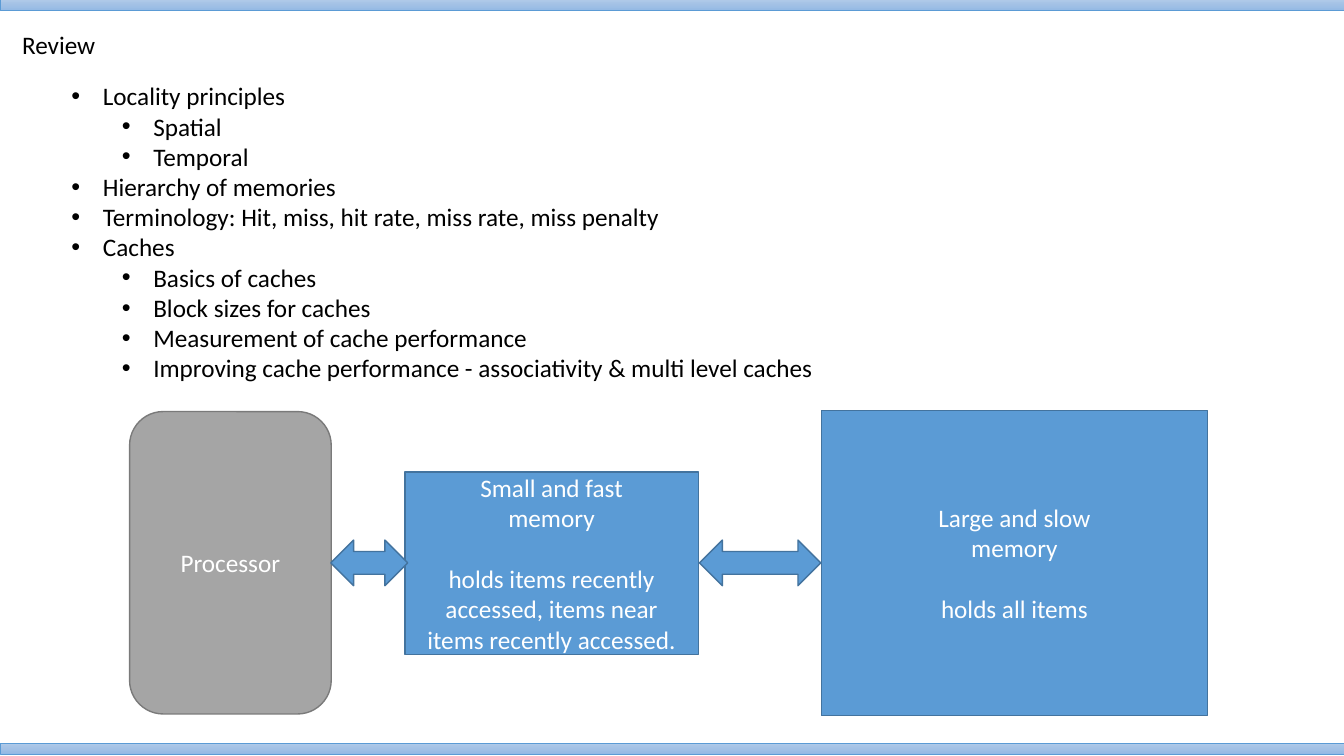
from copy import deepcopy
from dataclasses import dataclass

from lxml import etree
from pptx import Presentation
from pptx.dml.color import RGBColor
from pptx.enum.shapes import MSO_SHAPE
from pptx.enum.text import MSO_ANCHOR, PP_ALIGN
from pptx.oxml.ns import qn
from pptx.util import Pt

RECT = MSO_SHAPE.RECTANGLE
ROUND = MSO_SHAPE.ROUNDED_RECTANGLE
ARROW = MSO_SHAPE.LEFT_RIGHT_ARROW
MIDDLE = MSO_ANCHOR.MIDDLE
CENTER = PP_ALIGN.CENTER

FONT = "Calibri"
SIZE = 18
GAP = 22  # one line of text
WIDE, HIGH = 960, 540
COLORS = {
    "black": "000000", "white": "FFFFFF",
    "blue": "5B9BD5", "navy": "43739E",
    "gray": "A5A5A5", "slate": "7A7A7A",
}
FADE = [(0, "B1CBE9"), (0.5, "A3C1E5"), (1, "93B9E4")]


@dataclass
class Block:
    kind: MSO_SHAPE
    left: float
    top: float
    width: float
    height: float
    fill: str = "blue"
    edge: str = "navy"
    lines: tuple[str, ...] = ()  # the third line starts after a gap


@dataclass
class Item:
    text: str
    level: int = 0


BLOCKS = [
    Block(RECT, 289.2, 337, 209.6, 130.6, lines=(
        "Small and fast", "memory",
        "holds items recently accessed, items near items recently accessed.")),
    Block(RECT, 586.6, 293.2, 276, 218, lines=(
        "Large and slow", "memory", "holds all items")),
    Block(ARROW, 499.7, 385.8, 86.6, 32.6),
    Block(ROUND, 92.6, 294, 144, 216, "gray", "slate", ("Processor",)),
    Block(ARROW, 236.3, 385.8, 54.9, 32.6),
]
ITEMS = [
    Item("Locality principles"),
    Item("Spatial", 1),
    Item("Temporal", 1),
    Item("Hierarchy of memories"),
    Item("Terminology: Hit, miss, hit rate, miss rate, miss penalty"),
    Item("Caches"),
    Item("Basics of caches", 1),
    Item("Block sizes for caches", 1),
    Item("Measurement of cache performance", 1),
    Item("Improving cache performance - associativity & multi level caches", 1),
]


def paint(name: str) -> RGBColor:
    return RGBColor.from_string(COLORS[name])


def add_run(para, text: str, color: str) -> None:
    run = para.add_run()
    run.text = text
    run.font.name = FONT
    run.font.size = Pt(SIZE)
    run.font.color.rgb = paint(color)


def next_para(frame, index: int):
    return frame.add_paragraph() if index else frame.paragraphs[0]


def add_bar(slide, top: float) -> None:
    bar = slide.shapes.add_shape(RECT, 0, Pt(top), Pt(WIDE), Pt(7.9))
    bar.shadow.inherit = False
    bar.fill.gradient()
    bar.fill.gradient_angle = 270
    # A third stop for the fade
    stops = bar._element.spPr.find(qn("a:gradFill")).find(qn("a:gsLst"))
    stops.append(deepcopy(stops[0]))
    for stop, (place, color) in zip(bar.fill.gradient_stops, FADE):
        stop.position = place
        stop.color.rgb = RGBColor.from_string(color)
    bar.line.color.rgb = paint("blue")
    bar.line.width = Pt(0.5)


def add_box(slide, left: float, top: float, width: float, height: float):
    box = slide.shapes.add_textbox(Pt(left), Pt(top), Pt(width), Pt(height))
    box.text_frame.word_wrap = True
    return box.text_frame


def add_block(group, block: Block) -> None:
    shape = group.shapes.add_shape(
        block.kind, Pt(block.left), Pt(block.top), Pt(block.width), Pt(block.height))
    shape.shadow.inherit = False
    shape.fill.solid()
    shape.fill.fore_color.rgb = paint(block.fill)
    shape.line.color.rgb = paint(block.edge)
    shape.line.width = Pt(1)
    frame = shape.text_frame
    frame.word_wrap = True
    frame.vertical_anchor = MIDDLE
    for index, line in enumerate(block.lines):
        para = next_para(frame, index)
        para.alignment = CENTER
        if index == 2:
            para.space_before = Pt(GAP)
        add_run(para, line, "white")


def add_item(para, item: Item) -> None:
    props = para._p.get_or_add_pPr()
    props.set("marL", str(Pt(22.5 + 36 * item.level)))
    props.set("indent", str(Pt(-22.5)))
    etree.SubElement(props, qn("a:buFont"), typeface="Arial")
    etree.SubElement(props, qn("a:buChar"), char="•")
    para.level = item.level
    add_run(para, item.text, "black")


def main() -> None:
    deck = Presentation()
    deck.slide_width, deck.slide_height = Pt(WIDE), Pt(HIGH)
    slide = deck.slides.add_slide(deck.slide_layouts[6])

    # Top and bottom bars
    for top in (-0.5, 530.8):
        add_bar(slide, top)

    # Title
    title = add_box(slide, 8.7, 17.3, 884, 30)
    add_run(title.paragraphs[0], "Review", "black")

    # Memory diagram
    group = slide.shapes.add_group_shape()
    for block in BLOCKS:
        add_block(group, block)

    # Topic list
    topics = add_box(slide, 43.9, 54, 855.4, 224.6)
    for index, item in enumerate(ITEMS):
        add_item(next_para(topics, index), item)

    deck.save("out.pptx")


if __name__ == "__main__":
    main()
